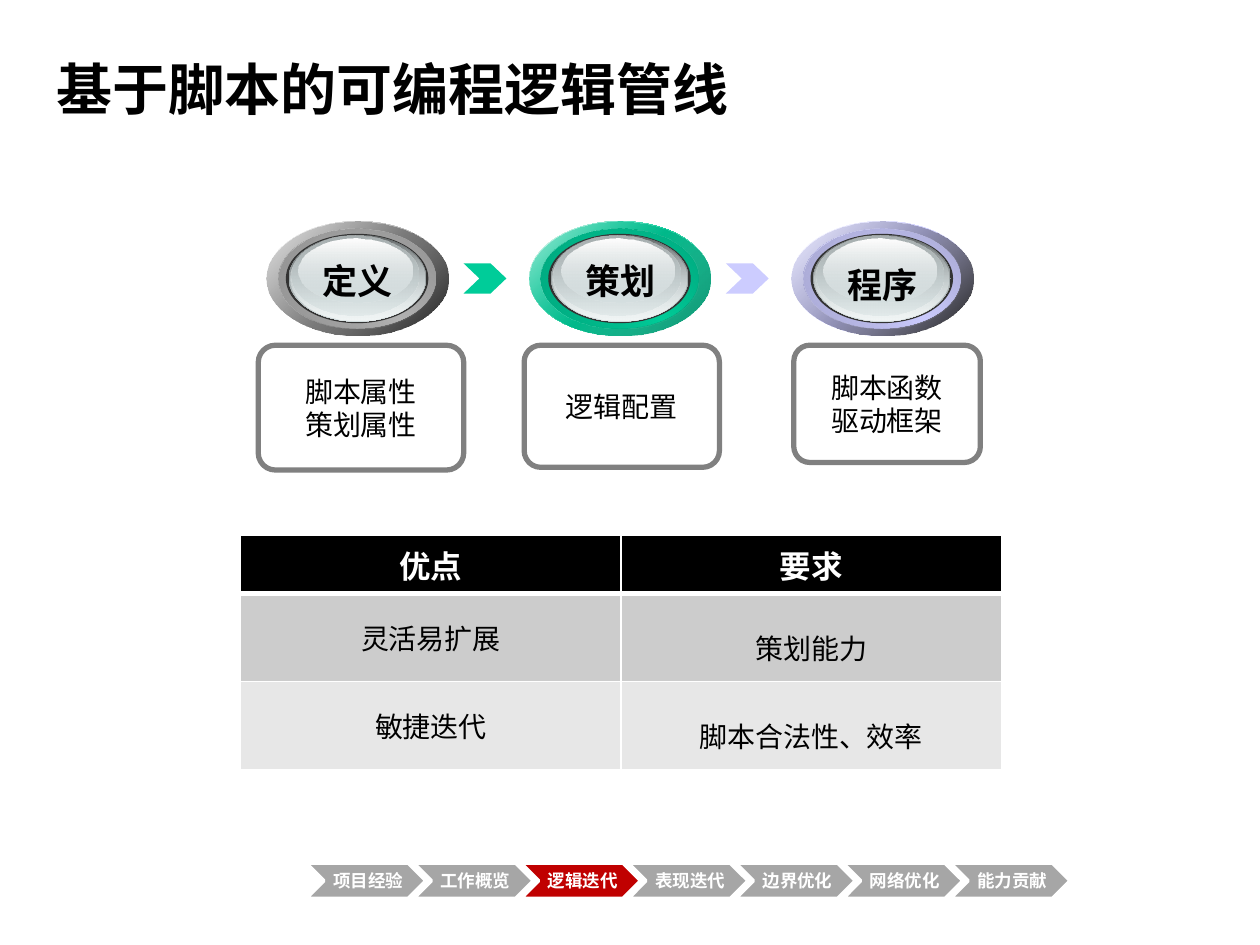
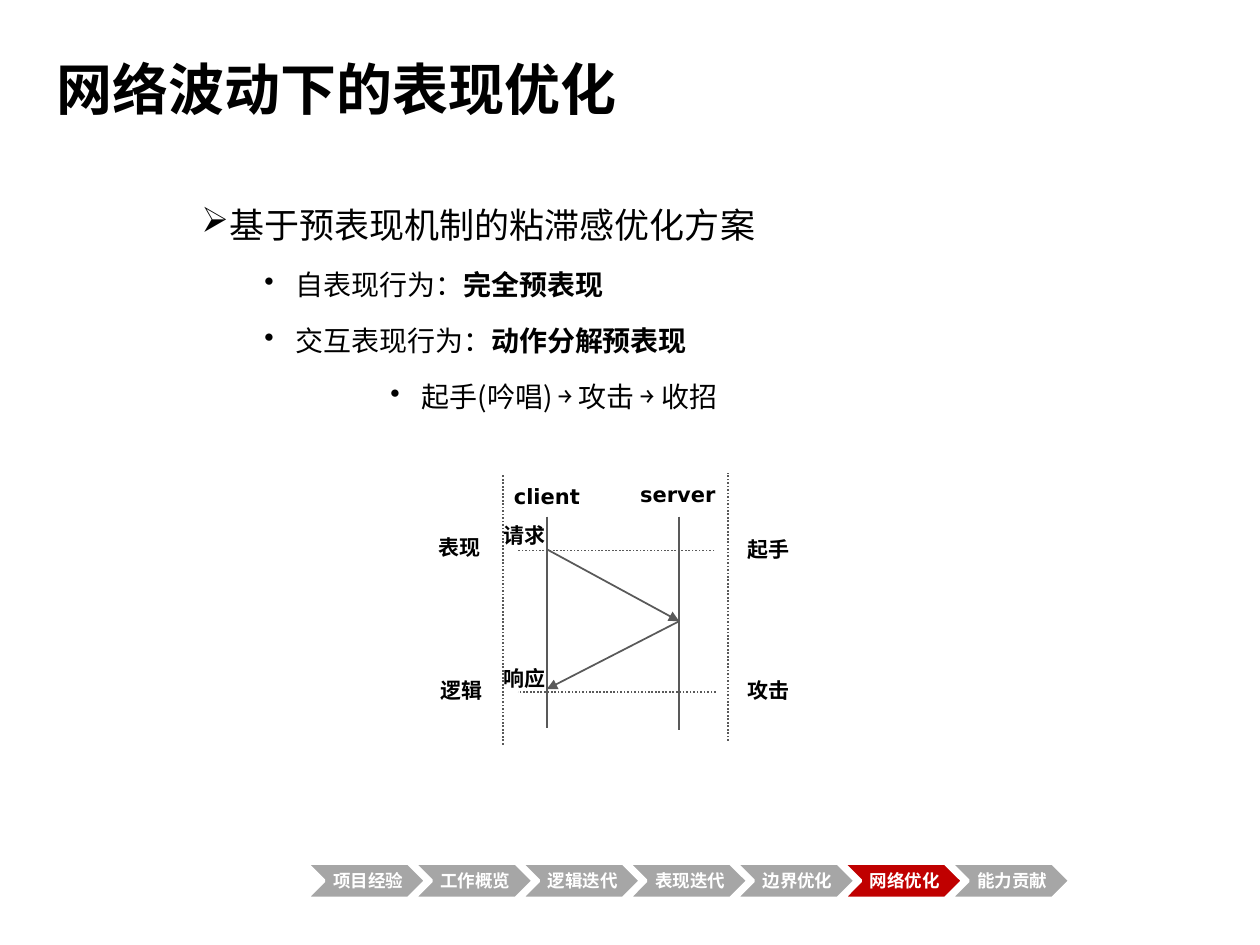
from lxml.etree import SubElement
from pptx import Presentation
from pptx.dml.color import RGBColor
from pptx.enum.dml import MSO_LINE
from pptx.enum.shapes import MSO_CONNECTOR, MSO_SHAPE as SHAPE
from pptx.enum.text import MSO_ANCHOR as ANCHOR, PP_ALIGN as ALIGN
from pptx.oxml.ns import qn
from pptx.util import Pt

# Shared style
CJK, LATIN, SERIF = "Noto Sans CJK SC", "DejaVu Sans", "Times New Roman"
BLACK, WHITE, GREY, LINE = "000000", "FFFFFF", "808080", "595959"
STAGES = ["项目经验", "工作概览", "逻辑迭代", "表现迭代", "边界优化", "网络优化", "能力贡献"]


def color(value):
    return RGBColor.from_string(value)


def apply(target, values):
    for name, value in values.items():
        setattr(target, name, value)


class Deck:
    """Holds the presentation style and the current slide."""

    def __init__(self):
        self.presentation = Presentation()
        apply(self.presentation, {"slide_width": Pt(720), "slide_height": Pt(540)})
        self.slide = None

    def new_slide(self, title, stage):
        layout = self.presentation.slide_layouts[6]
        self.slide = self.presentation.slides.add_slide(layout)
        self.text(25.2, 17.3, 473, 66.2, [title], size=32, bold=True, align=ALIGN.LEFT)
        # Progress footer
        for index, name in enumerate(STAGES):
            fill = "C00000" if name == stage else "A6A6A6"
            chevron = self.shape(SHAPE.CHEVRON, 175 + 61.35 * index, 493.2, 68.4, 20.2,
                                 fill=fill, line=WHITE, line_width=2)
            self.fill_frame(chevron.text_frame, [name], insets=(2.9, 0.7, 0.7, 0.7),
                            wrap=False, size=10, bold=True, font=SERIF, ink=WHITE)

    def fill_frame(self, frame, paragraphs, size=16, bold=False, font=CJK, ink=BLACK,
                   align=ALIGN.CENTER, insets=(7.2, 3.6, 7.2, 3.6), wrap=True, spacing=None):
        left, top, right, bottom = map(Pt, insets)
        apply(frame, {"word_wrap": wrap, "vertical_anchor": ANCHOR.MIDDLE,
                      "margin_left": left, "margin_top": top,
                      "margin_right": right, "margin_bottom": bottom})
        for index, content in enumerate(paragraphs):
            paragraph = frame.paragraphs[0] if index == 0 else frame.add_paragraph()
            self.fill_paragraph(paragraph, [(content, bold)], size, font, ink, align, spacing)

    def fill_paragraph(self, paragraph, runs, size, font, ink, align, spacing):
        apply(paragraph, {"alignment": align, "line_spacing": spacing})
        for content, bold in runs:
            run = paragraph.add_run()
            run.text = content
            apply(run.font, {"size": Pt(size), "bold": bold, "name": font})
            run.font.color.rgb = color(ink)
            SubElement(run._r.get_or_add_rPr(), qn("a:ea"), typeface=CJK)

    def text(self, left, top, width, height, paragraphs, **style):
        box = self.slide.shapes.add_textbox(Pt(left), Pt(top), Pt(width), Pt(height))
        self.fill_frame(box.text_frame, paragraphs, **style)

    def bullets(self, left, top, width, height, items):
        box = self.slide.shapes.add_textbox(Pt(left), Pt(top), Pt(width), Pt(height))
        frame = box.text_frame
        frame.word_wrap = True
        for index, (mark, margin, indent, size, pitch, runs) in enumerate(items):
            paragraph = frame.paragraphs[0] if index == 0 else frame.add_paragraph()
            self.fill_paragraph(paragraph, runs, size, CJK, BLACK, ALIGN.LEFT, Pt(pitch))
            properties = paragraph._p.get_or_add_pPr()
            properties.set("marL", str(Pt(margin)))
            properties.set("indent", str(Pt(indent)))
            SubElement(properties, qn("a:buChar"), char=mark)

    def shape(self, kind, left, top, width, height, fill=None, line=None, line_width=1,
              adjust=None):
        shape = self.slide.shapes.add_shape(kind, Pt(left), Pt(top), Pt(width), Pt(height))
        shape.shadow.inherit = False
        if fill:
            shape.fill.solid()
            shape.fill.fore_color.rgb = color(fill)
        else:
            shape.fill.background()
        if line:
            shape.line.color.rgb = color(line)
            shape.line.width = Pt(line_width)
        else:
            shape.line.fill.background()
        if adjust is not None:
            shape.adjustments[0] = adjust
        return shape

    def gradient_oval(self, left, top, width, height, angle, stops):
        """Stops are (position, colour, opacity), all but the colour in percent."""
        oval = self.shape(SHAPE.OVAL, left, top, width, height)
        properties = oval._element.spPr
        empty = properties.find(qn("a:noFill"))
        gradient = SubElement(properties, qn("a:gradFill"), rotWithShape="1")
        properties.replace(empty, gradient)
        stop_list = SubElement(gradient, qn("a:gsLst"))
        for position, value, opacity in stops:
            stop = SubElement(stop_list, qn("a:gs"), pos=str(position * 1000))
            tone = SubElement(stop, qn("a:srgbClr"), val=value)
            if opacity < 100:
                SubElement(tone, qn("a:alpha"), val=str(opacity * 1000))
        SubElement(gradient, qn("a:lin"), ang=str(angle * 60000), scaled="1")

    def badge(self, left, top, label, drop, main, shade, rim, inner, opacity):
        # Coloured ring
        self.gradient_oval(left, top, 103.7, 65.5, 45,
                           [(0, WHITE, 100), (50, main, 100), (100, WHITE, 100)])
        self.gradient_oval(left, top, 103.7, 65.5, 45,
                           [(0, main, 32), (100, shade, opacity)])
        self.gradient_oval(left + 6.5, top + 4.3, 90, 56.9, 315,
                           [(0, rim, 100), (50, main, 100), (100, rim, 100)])
        self.gradient_oval(left + 6.5, top + 4.3, 90, 56.9, 45,
                           [(0, inner, 100), (100, main, 0)])
        self.shape(SHAPE.OVAL, left + 10.8, top + 7.2, 81.4, 51.1, fill="333333")
        # Glass centre
        for x, y, width, height, start, start_opacity, end, end_opacity in [
            (12.4, 7.7, 78.5, 49.7, "636869", 100, "D6E1E2", 100),
            (13.2, 8.3, 76.5, 48.2, "D6E1E2", 0, "F1F5F5", 100),
            (13.9, 8.5, 72.7, 45.4, "AAB2B3", 100, "D6E1E2", 48),
            (18.2, 9.8, 64.8, 36.7, WHITE, 100, "D6E1E2", 38),
        ]:
            self.gradient_oval(left + x, top + y, width, height, 90,
                               [(0, start, start_opacity), (100, end, end_opacity)])
        self.text(left + 24.5, top + 18.3 + drop, 54.7, 31.7, [label],
                  size=20, bold=True, wrap=False)

    def line(self, x1, y1, x2, y2, dotted=False, arrow=False):
        connector = self.slide.shapes.add_connector(
            MSO_CONNECTOR.STRAIGHT, Pt(x1), Pt(y1), Pt(x2), Pt(y2))
        connector.line.color.rgb = color(LINE)
        connector.line.width = Pt(1)
        if dotted:
            connector.line.dash_style = MSO_LINE.ROUND_DOT
        properties = connector._element.spPr
        if arrow:
            SubElement(properties.find(qn("a:ln")), qn("a:tailEnd"), type="triangle")
        SubElement(properties, qn("a:effectLst"))

    def table(self, left, top, column_width, row_heights, rows, fills):
        table = self.slide.shapes.add_table(
            len(rows), len(rows[0]), Pt(left), Pt(top),
            Pt(column_width * len(rows[0])), Pt(sum(row_heights))).table
        table.horz_banding = False
        for column in table.columns:
            column.width = Pt(column_width)
        for r, values in enumerate(rows):
            table.rows[r].height = Pt(row_heights[r])
            header = r == 0
            for c, value in enumerate(values):
                cell = table.cell(r, c)
                cell.fill.solid()
                cell.fill.fore_color.rgb = color(fills[r])
                apply(cell, {"vertical_anchor": ANCHOR.MIDDLE,
                             "margin_top": Pt(3), "margin_bottom": Pt(3)})
                self.fill_paragraph(cell.text_frame.paragraphs[0], [(value, header)],
                                    18 if header else 16, CJK, WHITE if header else BLACK,
                                    ALIGN.CENTER, 1.5 if c and not header else None)
                widths = {"L": 1, "R": 1, "T": 3 if r == 1 else 1, "B": 3 if header else 1}
                self.borders(cell, widths)

    def borders(self, cell, widths):
        properties = cell._tc.get_or_add_tcPr()
        for index, (side, width) in enumerate(widths.items()):
            border = SubElement(properties, qn("a:ln" + side), w=str(Pt(width)))
            fill = SubElement(border, qn("a:solidFill"))
            SubElement(fill, qn("a:srgbClr"), val=WHITE)
            properties.insert(index, border)


def script_pipeline(deck):
    deck.new_slide("基于脚本的可编程逻辑管线", "逻辑迭代")
    # Cards under the badges
    for left, width, height, lines in [
        (299.5, 111.6, 69.8, ["逻辑配置"]),
        (147.6, 117.4, 71.3, ["脚本属性", "策划属性"]),
        (453.6, 106.6, 67, ["脚本函数", "驱动框架"]),
    ]:
        card = deck.shape(SHAPE.ROUNDED_RECTANGLE, left, 197.3, width, height,
                          line=GREY, line_width=3, adjust=0.137)
        deck.fill_frame(card.text_frame, lines, spacing=Pt(19))
    # Badges and the arrows between them
    badge_left, pitch = 152.6, 149.9
    for index, fill in enumerate(["00CC99", "CCCCFF"]):
        deck.shape(SHAPE.CHEVRON, badge_left + 112.3 + pitch * index, 150.5, 24.5, 17.3,
                   fill=fill, adjust=0.525)
    for index, (label, drop, *tones) in enumerate([
        ("定义", 0, "B2B2B2", BLACK, "888888", "929292", 90),
        ("策划", 0, "00CC99", "00926D", "009C75", "00A77E", 100),
        ("程序", 2, "CCCCFF", BLACK, "9C9CC3", "A7A7D1", 90),
    ]):
        deck.badge(badge_left + pitch * index, 126.4, label, drop, *tones)
    # Benefits and demands
    deck.table(137.5, 305.9, 217.4, [33.1, 50.4, 50.4],
               [["优点", "要求"], ["灵活易扩展", "策划能力"], ["敏捷迭代", "脚本合法性、效率"]],
               [BLACK, "CCCCCC", "E7E7E7"])


def network_display(deck):
    deck.new_slide("网络波动下的表现优化", "网络优化")
    deck.bullets(108, 98.6, 370, 140, [
        ("➢", 0, 0, 20, 38, [("基于预表现机制的粘滞感优化方案", False)]),
        ("•", 54, -18, 16, 32, [("自表现行为：", False), ("完全预表现", True)]),
        ("•", 54, -18, 16, 32, [("交互表现行为：", False), ("动作分解预表现", True)]),
        ("•", 126, -18, 16, 32, [("起手(吟唱) ￫ 攻击 ￫ 收招", False)]),
    ])
    # Lifelines and messages
    client, server = 312.5, 388.1
    deck.line(client, 295.2, client, 416.2)
    deck.line(server, 295.2, server, 416.9)
    deck.line(client, 313.9, server, 355, arrow=True)
    deck.line(server, 355, client, 393.8, arrow=True)
    # Dotted guides
    for guide in [(408.2, 314.6, 295.2, 314.6), (409, 395.3, 295.9, 395.3),
                  (287.3, 425.5, 287.3, 271.4), (416.2, 423.4, 416.2, 270)]:
        deck.line(*guide, dotted=True)
    # Labels
    for left, top, width, label in [
        (284.4, 272.9, 56.2, "client"), (355, 271.4, 64.8, "server"),
        (271.4, 295.2, 56.2, "请求"), (271.4, 376.6, 56.2, "响应"),
        (240.5, 301.7, 43.9, "表现"), (240.5, 383.8, 46.1, "逻辑"),
        (416.2, 303.1, 46.1, "起手"), (416.2, 383.8, 46.1, "攻击"),
    ]:
        deck.text(left, top, width, 21.6, [label], size=12, bold=True, font=LATIN)


def main():
    deck = Deck()
    script_pipeline(deck)
    network_display(deck)
    deck.presentation.save("out.pptx")


if __name__ == "__main__":
    main()
